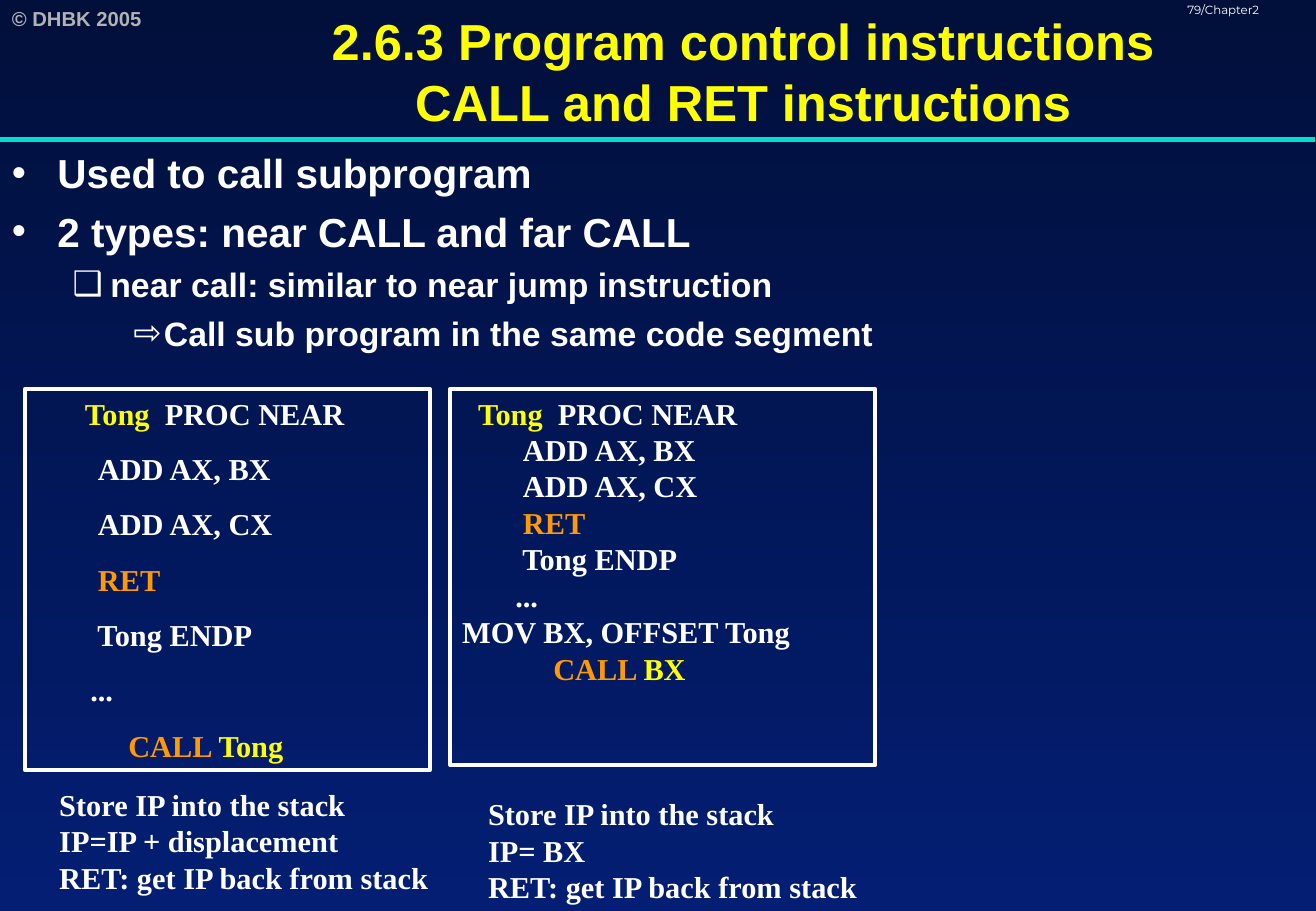
import pptx
import pptx.util
import pptx.dml.color
import pptx.enum.shapes
import pptx.enum.text
import pptx.oxml
import pptx.oxml.ns

WHITE, YELLOW, ORANGE = "FFFFFF", "FFFF00", "FF9B00"
GREY, TEAL = "B2B2B2", "00DFCA"
SANS, SERIF, LIGHT = "Arial", "Times New Roman", "Montserrat"
Cm, Pt = pptx.util.Cm, pptx.util.Pt


def rgb(code):
    return pptx.dml.color.RGBColor.from_string(code)


def node(tag, **attrs):
    """Make an empty drawing element."""
    item = pptx.oxml.parse_xml(f"<a:{tag} {pptx.oxml.ns.nsdecls('a')}/>")
    for key, value in attrs.items():
        item.set(key, value)
    return item


class Page:
    """The slide and its style; a run is (text, colour[, font, bold])."""

    def __init__(self, deck):
        self.slide = deck.slides.add_slide(deck.slide_layouts[5])
        self.shapes = self.slide.shapes

    def back(self, top, bottom):
        fill = self.slide.background.fill
        fill.gradient()
        fill.gradient_angle = 270
        for stop, code in zip(fill.gradient_stops, (top, bottom)):
            stop.color.rgb = rgb(code)

    def runs(self, para, parts, size, font):
        for text, code, *rest in parts:
            face, bold = rest or (font, True)
            for i, line in enumerate(text.split("\n")):
                if i:
                    para.add_line_break()
                run = para.add_run()
                run.text = line
                run.font.name, run.font.size = face, Pt(size)
                run.font.bold, run.font.color.rgb = bold, rgb(code)

    def lines(self, shape, rows, size, font, gap=0, wrap=True):
        frame = shape.text_frame
        frame.word_wrap = wrap
        frame.vertical_anchor = pptx.enum.text.MSO_ANCHOR.TOP
        for i, parts in enumerate(rows):
            para = frame.add_paragraph() if i else frame.paragraphs[0]
            para.alignment = pptx.enum.text.PP_ALIGN.LEFT
            para.space_before = Pt(gap if i else 0)
            self.runs(para, parts, size, font)
        return frame

    def title(self, text, *spot):
        shape = self.shapes.title
        shape.left, shape.top, shape.width, shape.height = map(Cm, spot)
        frame = shape.text_frame
        frame.word_wrap = True
        frame.auto_size = pptx.enum.text.MSO_AUTO_SIZE.NONE
        frame.vertical_anchor = pptx.enum.text.MSO_ANCHOR.MIDDLE
        para = frame.paragraphs[0]
        para.alignment = pptx.enum.text.PP_ALIGN.CENTER
        self.runs(para, [(text, YELLOW)], 30, SANS)

    def text(self, spot, rows, size, font, wrap=True):
        shape = self.shapes.add_textbox(*map(Cm, spot))
        return self.lines(shape, rows, size, font, wrap=wrap)

    def frame(self, spot, rows, gap=0):
        kind = pptx.enum.shapes.MSO_SHAPE.RECTANGLE
        shape = self.shapes.add_shape(kind, *map(Cm, spot))
        shape.shadow.inherit = False
        shape.fill.background()
        shape.line.color.rgb, shape.line.width = rgb(WHITE), Pt(2.25)
        self.lines(shape, rows, 18, SERIF, gap)

    def rule(self, x1, y1, x2, y2):
        kind = pptx.enum.shapes.MSO_CONNECTOR.STRAIGHT
        line = self.shapes.add_connector(kind, *map(Cm, (x1, y1, x2, y2)))
        line.line.color.rgb, line.line.width = rgb(TEAL), Pt(3)
        line._element.spPr.append(node("effectLst"))

    def list(self, spot, items):
        frame = self.text(spot, [[] for _ in items], 24, SANS)
        for i, (para, item) in enumerate(zip(frame.paragraphs, items)):
            text, mark, size, left, hang, gap = item
            para.space_before = Pt(gap if i else 0)
            props = para._p.get_or_add_pPr()
            props.set("marL", str(Cm(left)))
            props.set("indent", str(-Cm(hang)))
            tint = node("buClr")
            tint.append(node("srgbClr", val=WHITE))
            props.append(tint)
            props.append(node("buFont", typeface=SANS))
            props.append(node("buChar", char=mark))
            self.runs(para, [(text, WHITE)], size, SANS)


def code(indent, tail):
    """Give the listing of the Tong procedure and the lines that call it."""
    return [
        [(indent, WHITE, LIGHT, False), ("Tong", YELLOW),
         ("  PROC NEAR", WHITE)],
        [("\tADD AX, BX", WHITE)],
        [("\tADD AX, CX", WHITE)],
        [("     \t", WHITE), ("RET", ORANGE)],
        [("        Tong ENDP", WHITE)],
        [("       ...", WHITE)],
    ] + tail


def call(target):
    return [("            ", WHITE), ("CALL ", ORANGE), (target, YELLOW)]


def main():
    deck = pptx.Presentation()
    deck.slide_width, deck.slide_height = Cm(27.53), Cm(19.05)
    page = Page(deck)
    page.back("010F3B", "031E73")
    page.text((0, 0, 3.99, 0.76), [[("© DHBK 2005", GREY)]], 12, SANS)
    page.rule(0, 2.92, 27.51, 2.92)
    mark = [("79/Chapter2", WHITE, LIGHT, False)]
    number = page.text((24.59, 0, 4.01, 0.64), [mark], 7, LIGHT)
    number.paragraphs[0].line_spacing = 0.8
    page.title("2.6.3 Program control instructions\nCALL and RET instructions",
               3.58, 0, 23.95, 2.97)
    page.list((0, 2.97, 27.51, 16.08), [
        ("Used to call subprogram", "•", 24, 0.95, 0.95, 6),
        ("2 types: near CALL and far CALL", "•", 24, 0.95, 0.95, 6),
        ("near call: similar to near jump instruction",
         "❑", 20, 2.06, 0.79, 5),
        ("Call sub program in the same code segment",
         "⇨", 20, 3.18, 0.64, 5),
    ])
    page.frame((0.53, 8.13, 8.46, 7.98), code("      ", [call("Tong")]), 11.2)
    move = [("MOV BX, OFFSET Tong", WHITE)]
    page.frame((9.42, 8.13, 8.89, 7.87), code("  ", [move, call("BX")]))
    for left, top, jump in ((0.99, 16.31, "IP=IP + displacement"),
                            (9.96, 16.51, "IP= BX")):
        steps = ("Store IP into the stack", jump,
                 "RET: get IP back from stack")
        page.text((left, top, 8.31, 2.54), [[(s, WHITE)] for s in steps],
                  18, SERIF, wrap=False)
    deck.save("out.pptx")


if __name__ == "__main__":
    main()
